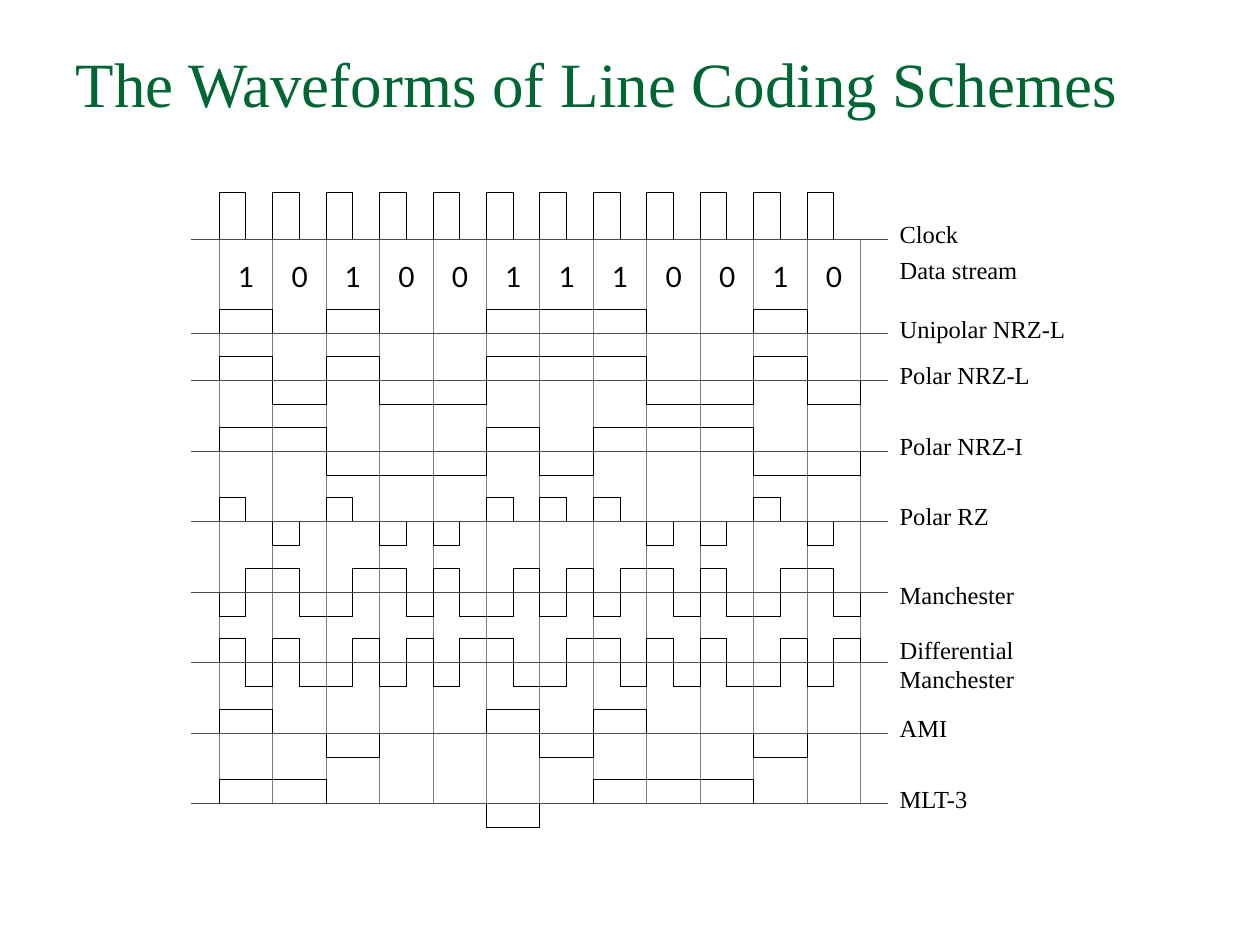
from lxml import etree
from pptx import Presentation
from pptx.dml.color import RGBColor
from pptx.enum.shapes import MSO_CONNECTOR
from pptx.enum.text import MSO_ANCHOR, MSO_AUTO_SIZE, PP_ALIGN
from pptx.oxml.ns import qn
from pptx.util import Inches, Pt

GREEN = RGBColor(0x00, 0x66, 0x33)
BLACK = RGBColor(0x00, 0x00, 0x00)
GRID_GRAY = RGBColor(0x7F, 0x7F, 0x7F)
AXIS_GRAY = RGBColor(0x4D, 0x4D, 0x4D)
SERIF = "Times New Roman"
# A width of exactly zero is not written, so the theme's width would apply
HAIRLINE = Pt(0.01)

BITS = "101001110010"
AXIS_LEFT, AXIS_RIGHT = 1.52, 7.04
FIRST_BIT, LAST_BIT = 1.74, 6.83
BIT_WIDTH = (LAST_BIT - FIRST_BIT) / len(BITS)
GRID_TOP, CLOCK_AXIS, GRID_BOTTOM = 1.53, 1.9, 6.38
FIRST_POLAR_AXIS, POLAR_STEP = 3.02, 0.56
SWING = 0.19
CLOCK_SWING = 0.37
LABEL_LEFT, LABEL_RISE = 7.14, 0.16

LEVELS = {"+": 1, "0": 0, "-": -1}
NRZ_I = "++---+-+++--"


def expand(symbols, high, low):
    """Replace each symbol by its pair of half-bit levels."""
    pairs = {"1": high, "+": high, "0": low, "-": low}
    return "".join(pairs[symbol] for symbol in symbols)


def hold(levels):
    """Keep each level for both halves of its bit."""
    return "".join(level * 2 for level in levels)


# Label and half-bit levels, in order of the evenly spaced axes
POLAR_SCHEMES = [
    ("Polar NRZ-L", expand(BITS, high="++", low="--")),
    ("Polar NRZ-I", hold(NRZ_I)),
    ("Polar RZ", expand(BITS, high="+0", low="-0")),
    ("Manchester", expand(BITS, high="-+", low="+-")),
    ("Differential", expand(NRZ_I, high="+-", low="-+")),
    ("AMI", hold("+0-00+-+00-0")),
    ("MLT-3", hold("++000-0+++00")),
]
SCHEMES = [
    ("Clock", "+0" * len(BITS), CLOCK_AXIS, CLOCK_SWING),
    ("Unipolar NRZ-L", expand(BITS, high="++", low="00"), 2.65, SWING),
] + [
    (label, levels, FIRST_POLAR_AXIS + row * POLAR_STEP, SWING)
    for row, (label, levels) in enumerate(POLAR_SCHEMES)
]
LABEL_TOPS = {"Manchester": 4.6, "Differential": 5.04}
EXTRA_LABELS = [("Data stream", 2.02), ("Manchester", 5.27)]


def add_title(slide, words):
    title = slide.shapes.title
    title.left, title.top = Inches(0.5), Inches(0.3)
    title.width, title.height = Inches(9), Inches(1.25)
    frame = title.text_frame
    frame.word_wrap = True
    frame.vertical_anchor = MSO_ANCHOR.TOP
    paragraph = frame.paragraphs[0]
    paragraph.alignment = PP_ALIGN.LEFT
    add_run(paragraph, words, SERIF, 36, GREEN)


def add_run(paragraph, words, font_name, size, color):
    run = paragraph.add_run()
    run.text = words
    run.font.name = font_name
    run.font.size = Pt(size)
    run.font.color.rgb = color


def add_text(shapes, words, left, top, width, font_name, size):
    box = shapes.add_textbox(Inches(left), Inches(top), Inches(width), Inches(0.25))
    frame = box.text_frame
    frame.margin_left = frame.margin_right = 0
    frame.margin_top = frame.margin_bottom = 0
    frame.word_wrap = False
    frame.auto_size = MSO_AUTO_SIZE.SHAPE_TO_FIT_TEXT
    add_run(frame.paragraphs[0], words, font_name, size, BLACK)


def add_label(shapes, words, top):
    width = 0.2 + 0.1 * len(words)
    add_text(shapes, words, LABEL_LEFT, top, width, SERIF, 14)


def style_line(line, color):
    line.color.rgb = color
    line.width = HAIRLINE


def add_line(shapes, start, end, color):
    connector = shapes.add_connector(
        MSO_CONNECTOR.STRAIGHT, *(Inches(value) for value in start + end))
    style_line(connector.line, color)
    etree.SubElement(connector._element.spPr, qn("a:effectLst"))


def add_wave(shapes, levels, axis, swing):
    """Draw half-bit levels as one square-edged line around its axis."""
    points = []
    x = FIRST_BIT
    previous = "0"
    for level in levels + "0":
        if level != previous:
            points += [(x, axis - swing * LEVELS[state]) for state in (previous, level)]
        previous = level
        x += BIT_WIDTH / 2
    points.append((AXIS_RIGHT, axis))
    builder = shapes.build_freeform(Inches(AXIS_LEFT), Inches(axis))
    builder.add_line_segments([(Inches(px), Inches(py)) for px, py in points], close=False)
    wave = builder.convert_to_shape()
    wave.shadow.inherit = False
    wave.fill.background()
    style_line(wave.line, BLACK)


def add_grid(shapes):
    for edge in range(len(BITS) + 1):
        x = FIRST_BIT + edge * BIT_WIDTH
        top = CLOCK_AXIS if edge == len(BITS) else GRID_TOP
        add_line(shapes, (x, top), (x, GRID_BOTTOM), GRID_GRAY)


def main():
    deck = Presentation()
    deck.slide_width, deck.slide_height = Inches(10), Inches(7.5)
    slide = deck.slides.add_slide(deck.slide_layouts[5])
    add_title(slide, "The Waveforms of Line Coding Schemes")

    diagram = slide.shapes.add_group_shape().shapes
    add_grid(diagram)
    for label, levels, axis, swing in SCHEMES:
        add_wave(diagram, levels, axis, swing)
        add_line(diagram, (AXIS_LEFT, axis), (AXIS_RIGHT, axis), AXIS_GRAY)
        add_label(diagram, label, LABEL_TOPS.get(label, axis - LABEL_RISE))
    for label, top in EXTRA_LABELS:
        add_label(diagram, label, top)
    for position, bit in enumerate(BITS):
        add_text(diagram, bit, 1.89 + position * BIT_WIDTH, 2.06, 0.23, "Lato", 16)
    deck.save("out.pptx")


if __name__ == "__main__":
    main()
